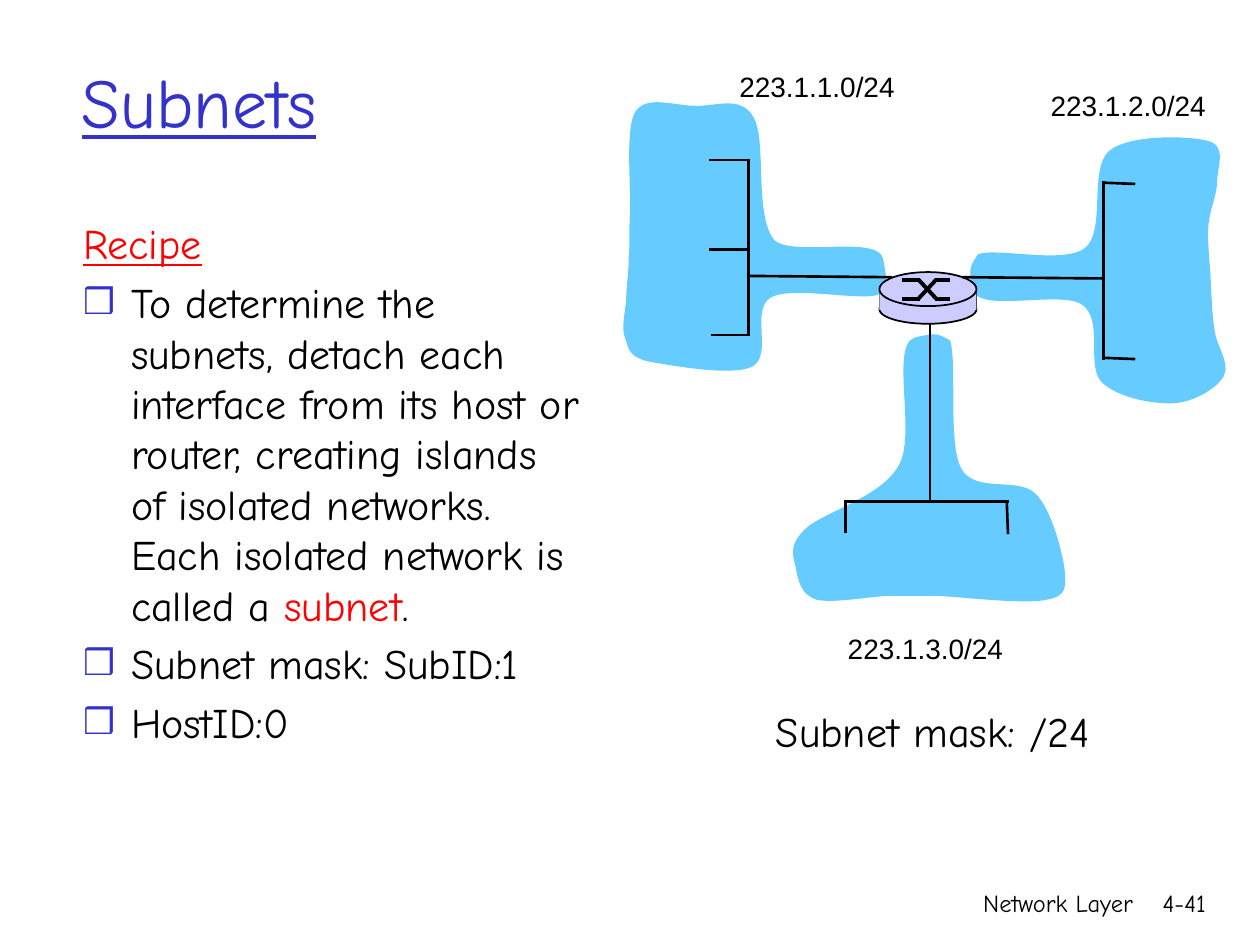
from dataclasses import dataclass

from lxml import etree
from pptx import Presentation
from pptx import util as u
from pptx.dml.color import RGBColor
from pptx.enum import shapes, text
from pptx.oxml import ns


@dataclass(frozen=True)
class Theme:
    """Colours, fonts and sizes of the slide."""
    ink: str = "000000"
    title: str = "3333CC"
    accent: str = "FF0000"
    island: str = "66CCFF"
    router: str = "CCCCFF"
    hand: str = "Comic Neue"
    plain: str = "Arial"
    title_size: float = 40
    body_size: float = 24
    label_size: float = 16
    footer_size: float = 14
    wire: float = 1.5
    edge: float = 1
    cross: float = 2.25


@dataclass(frozen=True)
class Island:
    """A subnet: its box, and curves, wires and label measured from its corner."""
    box: tuple
    start: tuple
    curves: tuple
    wires: tuple
    label: str
    label_at: tuple


THEME = Theme()
WEST = Island(
    (4.93, 0.75, 2.12, 2.24), (2.08, 1.31),
    ((2.05, 1.11, 1.38, 1.29, 1.22, 1.16), (1.05, 0.97, 1.16, 0.36, 1.05, 0.18),
     (0.95, 0, 0.74, 0.1, 0.58, 0.09), (0.42, 0.09, 0.2, 0, 0.11, 0.14),
     (0.03, 0.28, 0.08, 0.75, 0.07, 0.94), (0.06, 1.14, 0.07, 1.19, 0.06, 1.3),
     (0.06, 1.42, 0.04, 1.53, 0.04, 1.63), (0.03, 1.74, 0, 1.85, 0.03, 1.93),
     (0.06, 2.01, 0.05, 2.08, 0.22, 2.12), (0.39, 2.15, 0.88, 2.24, 1.04, 2.16),
     (1.21, 2.07, 1.02, 1.71, 1.19, 1.61), (1.36, 1.52, 1.89, 1.64, 2.04, 1.59),
     (2.1, 1.5, 2.12, 1.51, 2.08, 1.31)),
    ((0.7, 0.52, 1, 0.52), (1.01, 0.51, 1.01, 1.92), (0.7, 1.23, 1, 1.23),
     (0.71, 1.91, 1.01, 1.91), (1.01, 1.44, 2.15, 1.45)),
    "223.1.1.0/24", (0.84, -0.25))
EAST = Island(
    (7.68, 1.06, 2.09, 2.14), (0.04, 1.24),
    ((0.09, 1.43, 0.74, 1.24, 0.91, 1.36), (1.08, 1.48, 0.94, 1.84, 1.06, 1.97),
     (1.19, 2.1, 1.48, 2.15, 1.64, 2.14), (1.8, 2.13, 1.98, 2.02, 2.03, 1.93),
     (2.09, 1.83, 1.97, 1.68, 1.96, 1.56), (1.94, 1.44, 1.94, 1.34, 1.93, 1.21),
     (1.93, 1.07, 1.9, 0.88, 1.91, 0.74), (1.92, 0.6, 1.98, 0.49, 1.98, 0.38),
     (1.98, 0.27, 2.06, 0.1, 1.91, 0.06), (1.77, 0.02, 1.29, 0, 1.12, 0.14),
     (0.96, 0.29, 1.1, 0.77, 0.93, 0.91), (0.76, 1.04, 0.22, 0.9, 0.08, 0.96),
     (0.03, 1.05, 0, 1.04, 0.04, 1.24)),
    ((-0.04, 1.14, 1.07, 1.15), (1.08, 0.38, 1.08, 1.8),
     (1.08, 0.39, 1.33, 0.4), (1.08, 1.78, 1.33, 1.79)),
    "223.1.2.0/24", (0.56, -0.41))
SOUTH = Island(
    (6.24, 2.63, 2.23, 2.16), (1.02, 0.05),
    ((0.82, 0.11, 1.04, 0.83, 0.89, 1.07), (0.74, 1.33, 0.27, 1.44, 0.14, 1.58),
     (0, 1.72, 0.07, 1.81, 0.08, 1.9), (0.1, 1.99, 0.12, 2.09, 0.24, 2.13),
     (0.36, 2.16, 0.64, 2.11, 0.8, 2.1), (0.96, 2.1, 0.99, 2.1, 1.2, 2.1),
     (1.41, 2.11, 1.9, 2.17, 2.07, 2.13), (2.23, 2.1, 2.22, 2.03, 2.21, 1.89),
     (2.19, 1.75, 2.11, 1.42, 1.98, 1.29), (1.84, 1.15, 1.5, 1.29, 1.39, 1.09),
     (1.28, 0.89, 1.36, 0.25, 1.3, 0.07), (1.21, 0.03, 1.22, 0, 1.02, 0.05)),
    ((1.14, -0.06, 1.14, 1.36), (0.47, 1.35, 1.77, 1.35),
     (0.47, 1.6, 0.47, 1.34), (1.76, 1.61, 1.75, 1.34)),
    "223.1.3.0/24", (0.39, 2.33))


def place(shape, box):
    """Move a shape to a box given in inches."""
    shape.left, shape.top, shape.width, shape.height = map(u.Inches, box)


def add_run(paragraph, words, size, color=THEME.ink, font=THEME.hand, underline=None):
    """Append one formatted run."""
    run = paragraph.add_run()
    run.text = words
    run.font.size, run.font.name, run.font.underline = u.Pt(size), font, underline
    run.font.color.rgb = RGBColor.from_string(color)


def add_label(slide, box, words, size, font=THEME.hand, align=text.PP_ALIGN.LEFT, wrap=False):
    """Add a one-line text box."""
    frame = slide.shapes.add_textbox(*map(u.Inches, box)).text_frame
    frame.word_wrap = wrap
    frame.paragraphs[0].alignment = align
    add_run(frame.paragraphs[0], words, size, font=font)


def add_line(slide, origin, ends, width):
    """Add a black line whose ends are measured from an origin."""
    points = [u.Inches(origin[i % 2] + value) for i, value in enumerate(ends)]
    line = slide.shapes.add_connector(shapes.MSO_CONNECTOR.STRAIGHT, *points)
    line.line.width = u.Pt(width)
    line.line.color.rgb = RGBColor.from_string(THEME.ink)
    etree.SubElement(line._element.spPr, ns.qn("a:effectLst"))


def fill_shape(shape, color, outlined=False):
    """Give a shape a flat fill, with or without a black edge."""
    shape.shadow.inherit = False
    shape.fill.solid()
    shape.fill.fore_color.rgb = RGBColor.from_string(color)
    if outlined:
        shape.line.width = u.Pt(THEME.edge)
        shape.line.color.rgb = RGBColor.from_string(THEME.ink)
    else:
        shape.line.fill.background()


def add_step(outline, tag, values=()):
    """Append one drawing step with its points to an outline."""
    step = etree.SubElement(outline, ns.qn(tag))
    for x, y in zip(values[::2], values[1::2]):
        etree.SubElement(step, ns.qn("a:pt"), x=str(u.Inches(x)), y=str(u.Inches(y)))


def draw_island(slide, island):
    """Draw the blue area of a subnet with curved edges."""
    left, top, width, height = map(u.Inches, island.box)
    builder = slide.shapes.build_freeform(0, 0)
    builder.add_line_segments([(width, height)])
    shape = builder.convert_to_shape(left, top)
    outline = shape._element.spPr.find(".//" + ns.qn("a:path"))
    for step in list(outline):
        outline.remove(step)
    add_step(outline, "a:moveTo", island.start)
    for curve in island.curves:
        add_step(outline, "a:cubicBezTo", curve)
    add_step(outline, "a:close")
    fill_shape(shape, THEME.island)


def draw_wiring(slide, island):
    """Draw the wires and the address of a subnet."""
    left, top = island.box[:2]
    for wire in island.wires:
        add_line(slide, (left, top), wire, THEME.wire)
    label_box = (left + island.label_at[0], top + island.label_at[1], 1.44, 0.37)
    add_label(slide, label_box, island.label, THEME.label_size, THEME.plain)


def draw_router(slide, box):
    """Draw a router as a disc with crossed paths on top."""
    left, top, width, height = box
    oval, rectangle = shapes.MSO_SHAPE.OVAL, shapes.MSO_SHAPE.RECTANGLE

    def add_part(kind, offset, part_height, outlined):
        """Add one full-width layer of the disc."""
        part = slide.shapes.add_shape(
            kind, *map(u.Inches, (left, top + offset, width, part_height)))
        fill_shape(part, THEME.router, outlined)

    add_part(oval, height - 0.23, 0.23, True)
    for x in (0, width):
        add_line(slide, (left, top), (x, 0.16, x, 0.31), THEME.edge)
    add_part(rectangle, 0.16, 0.14, False)
    add_part(oval, 0, 0.27, True)
    for y, opposite in ((0.06, 0.21), (0.21, 0.06)):
        for ends in ((0.18, y, 0.32, y), (0.31, y, 0.45, opposite), (0.44, y, 0.56, y)):
            add_line(slide, (left, top), ends, THEME.cross)


def write_title(slide, box):
    """Fill the title placeholder."""
    title = slide.shapes.title
    place(title, box)
    title.text_frame.vertical_anchor = text.MSO_ANCHOR.MIDDLE
    title.text_frame.paragraphs[0].alignment = text.PP_ALIGN.LEFT
    add_run(title.text_frame.paragraphs[0], "Subnets", THEME.title_size, THEME.title, underline=True)


def set_bullet(paragraph, bulleted):
    """Set the hanging indent and the box bullet, or no bullet."""
    properties = paragraph._p.get_or_add_pPr()
    properties.set("marL", str(u.Inches(0.38)))
    properties.set("indent", str(-u.Inches(0.38)))
    if not bulleted:
        etree.SubElement(properties, ns.qn("a:buNone"))
        return
    color = etree.SubElement(properties, ns.qn("a:buClr"))
    etree.SubElement(color, ns.qn("a:srgbClr"), val=THEME.title)
    etree.SubElement(properties, ns.qn("a:buSzPct"), val="85000")
    etree.SubElement(properties, ns.qn("a:buChar"), char="❒")


def write_recipe(slide, box):
    """Fill the body placeholder with the recipe."""
    body = slide.placeholders[1]
    place(body, box)
    frame = body.text_frame
    frame.auto_size = text.MSO_AUTO_SIZE.NONE
    items = (
        (("Recipe", THEME.accent),),
        (("To determine the subnets, detach each interface from its host or router, "
          "creating islands of isolated networks. Each isolated network is called a ", THEME.ink),
         ("subnet", THEME.accent), (".", THEME.ink)),
        (("Subnet mask: SubID:1", THEME.ink),), (("HostID:0", THEME.ink),))
    for index, runs in enumerate(items):
        paragraph = frame.add_paragraph() if index else frame.paragraphs[0]
        set_bullet(paragraph, index > 0)
        paragraph.space_before = u.Pt(0.2 * THEME.body_size if index else 0)
        for words, color in runs:
            add_run(paragraph, words, THEME.body_size, color, underline=index == 0)


def main():
    """Build and save the slide."""
    presentation = Presentation()
    presentation.slide_width, presentation.slide_height = u.Inches(10), u.Inches(7.5)
    slide = presentation.slides.add_slide(presentation.slide_layouts[1])
    write_title(slide, (0.55, 0.17, 5.7, 1.25))
    write_recipe(slide, (0.56, 1.68, 4.17, 5.08))
    for island in (WEST, EAST, SOUTH):
        draw_island(slide, island)
    draw_wiring(slide, WEST)
    draw_router(slide, (6.98, 2.16, 0.77, 0.41))
    for island in (EAST, SOUTH):
        draw_wiring(slide, island)
    add_label(slide, (6.06, 5.55, 2.96, 0.5), "Subnet mask: /24", THEME.body_size)
    for box, words in (((5.92, 7, 3.17, 0.5), "Network Layer"), ((8.93, 7, 0.74, 0.5), "4-41")):
        add_label(slide, box, words, THEME.footer_size, align=text.PP_ALIGN.RIGHT, wrap=True)
    presentation.save("out.pptx")


if __name__ == "__main__":
    main()
